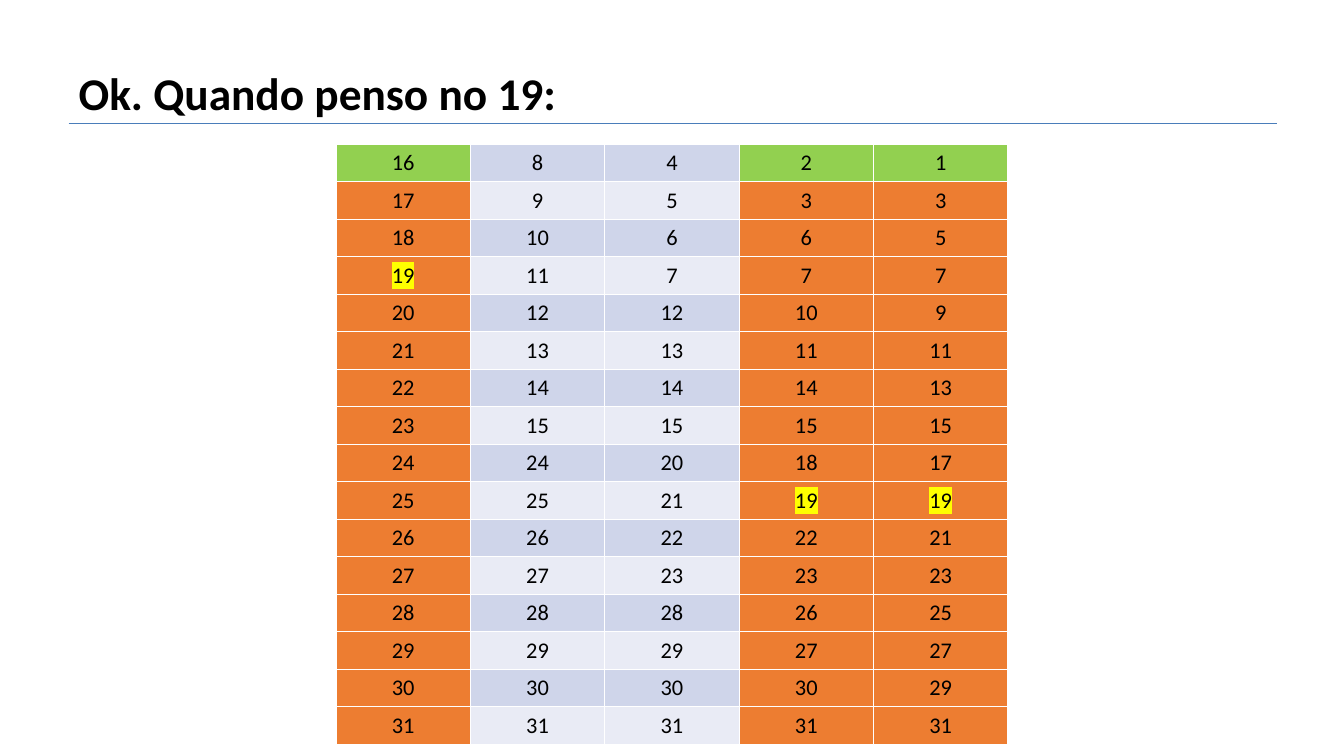
from lxml import etree
from pptx import Presentation, util as u
from pptx.dml.color import RGBColor
from pptx.enum import shapes, text
from pptx.oxml.ns import qn

TITLE = "Ok. Quando penso no 19:"
SECRET = 19
CARD_BITS = (16, 8, 4, 2, 1)
CARDS = [[n for n in range(1, 32) if n & bit] for bit in CARD_BITS]

BLACK = RGBColor(0x00, 0x00, 0x00)
RULE_BLUE = RGBColor(0x4A, 0x7D, 0xBA)
GREEN = RGBColor(0x92, 0xD0, 0x50)
ORANGE = RGBColor(0xED, 0x7D, 0x31)
BANDS = (RGBColor(0xCF, 0xD5, 0xEA), RGBColor(0xE9, 0xEB, 0xF5))
YELLOW = RGBColor(0xFF, 0xFF, 0x00)
FONT = "Calibri"


def set_font(para, size, bold):
    para.font.name = FONT
    para.font.size = u.Pt(size)
    para.font.bold = bold
    para.font.color.rgb = BLACK


def highlight(span, color):
    mark = etree.SubElement(span._r.get_or_add_rPr(), qn("a:highlight"))
    etree.SubElement(mark, qn("a:srgbClr"), val=str(color))


def cell_fill(row, card):
    if SECRET not in card:
        return BANDS[row % 2]
    return GREEN if row == 0 else ORANGE


deck = Presentation()
deck.slide_width, deck.slide_height = u.Inches(13.33), u.Inches(7.5)
page = deck.slides.add_slide(deck.slide_layouts[5])

left, right, rule_y = u.Inches(0.68), u.Inches(12.67), u.Inches(1.23)
rule = page.shapes.add_connector(
    shapes.MSO_CONNECTOR.STRAIGHT, left, rule_y, right, rule_y)
rule.line.color.rgb = RULE_BLUE
rule.line.width = u.Pt(0.75)
etree.SubElement(rule._element.spPr, qn("a:effectLst"))

title = page.shapes.title
title.left, title.top = left, u.Inches(0.6)
title.width, title.height = right - left, u.Inches(0.71)
frame = title.text_frame
frame.text = TITLE
frame.word_wrap = True
frame.auto_size = text.MSO_AUTO_SIZE.NONE
frame.vertical_anchor = text.MSO_ANCHOR.MIDDLE
frame.margin_left = frame.margin_right = u.Inches(0.1)
frame.margin_top = frame.margin_bottom = u.Inches(0.1)
heading = frame.paragraphs[0]
heading.alignment = text.PP_ALIGN.LEFT
heading.line_spacing = 0.9
set_font(heading, 32.4, True)

table_width = deck.slide_width // 2
table = page.shapes.add_table(
    len(CARDS[0]), len(CARDS), (deck.slide_width - table_width) // 2,
    u.Inches(1.43), table_width, u.Inches(5.87)).table
table.first_row = False
table.horz_banding = False

for column, card in enumerate(CARDS):
    for row, number in enumerate(card):
        cell = table.cell(row, column)
        cell.fill.solid()
        cell.fill.fore_color.rgb = cell_fill(row, card)
        para = cell.text_frame.paragraphs[0]
        para.alignment = text.PP_ALIGN.CENTER
        set_font(para, 16, False)
        span = para.add_run()
        span.text = str(number)
        if number == SECRET:
            highlight(span, YELLOW)

deck.save("out.pptx")
